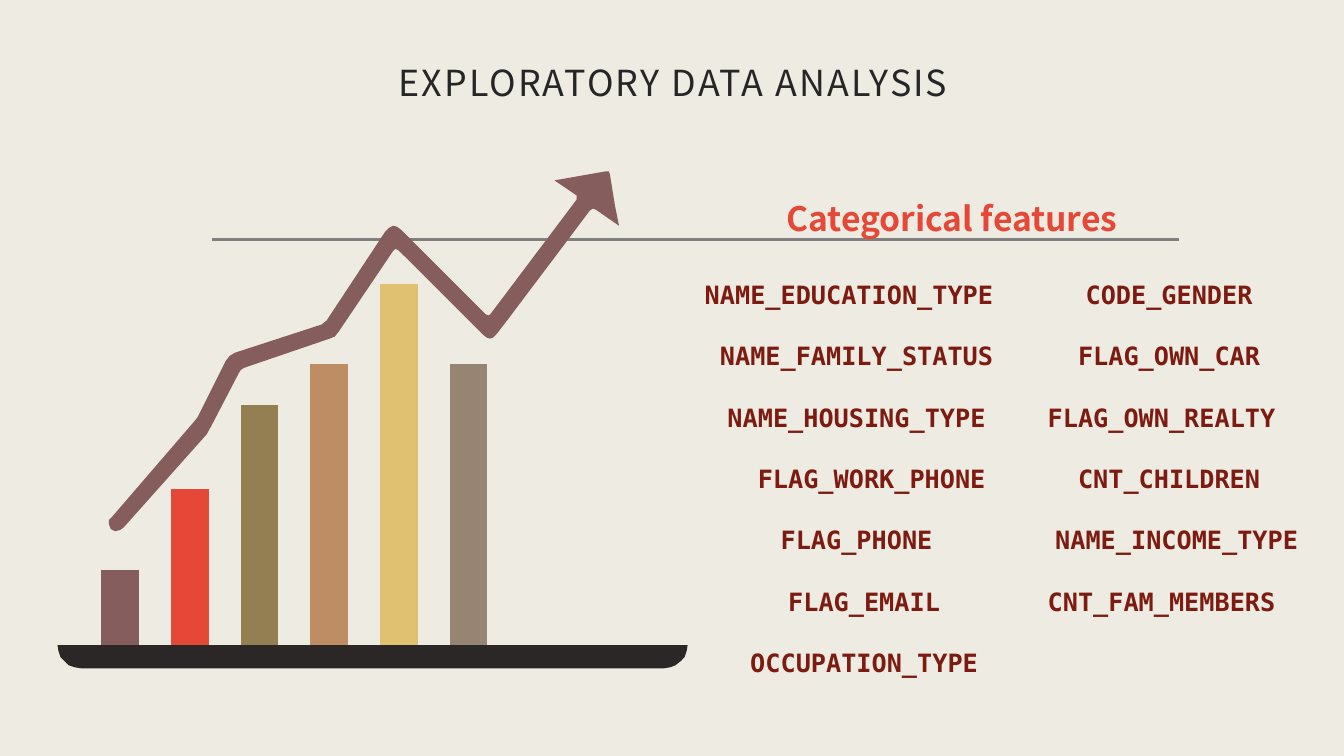
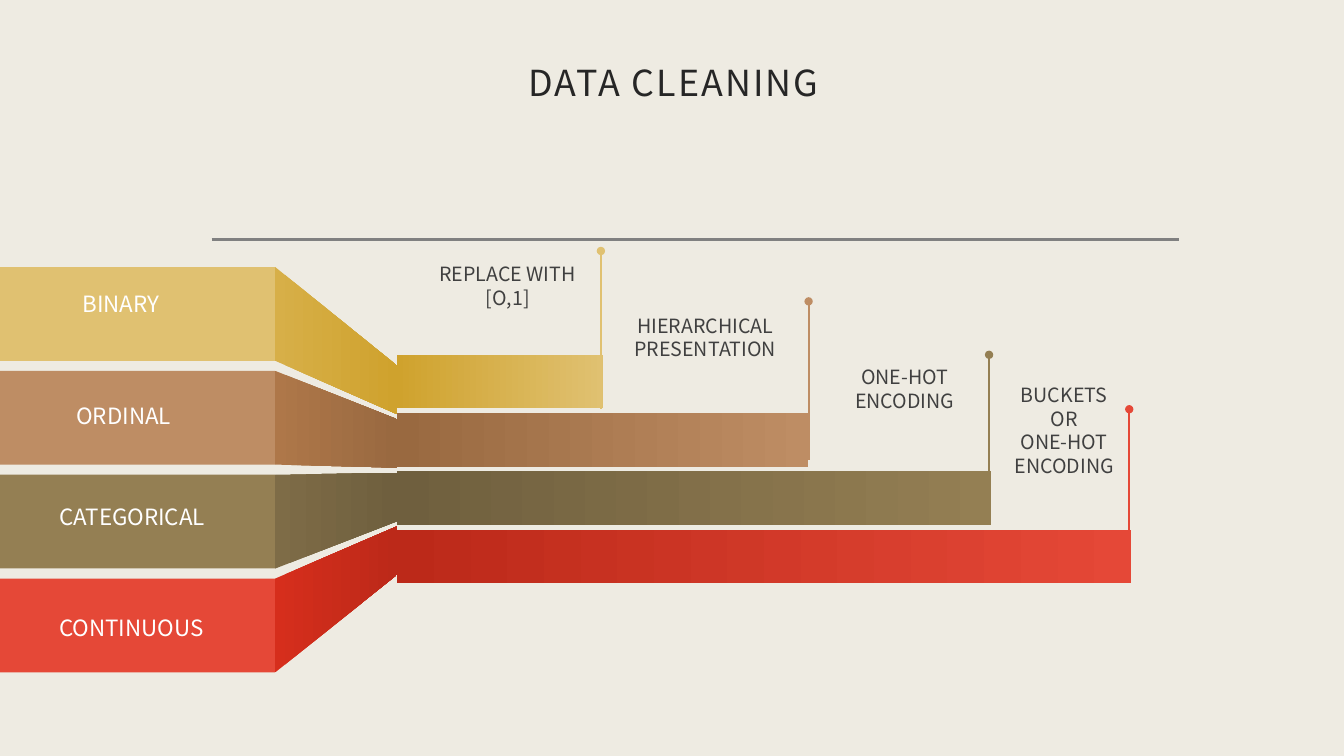
import math

from lxml import etree
from pptx import Presentation
from pptx.chart.data import CategoryChartData
from pptx.dml.color import RGBColor
from pptx.enum.chart import XL_CHART_TYPE
from pptx.enum.shapes import MSO_CONNECTOR, MSO_SHAPE
from pptx.enum.text import MSO_ANCHOR, MSO_AUTO_SIZE, PP_ALIGN
from pptx.oxml import parse_xml
from pptx.oxml.ns import nsdecls, qn
from pptx.util import Pt

PX = 9144
SANS, MONO = "Noto Sans CJK JP", "DejaVu Sans Mono"
LEFT, CENTER = PP_ALIGN.LEFT, PP_ALIGN.CENTER
TOP, MIDDLE = MSO_ANCHOR.TOP, MSO_ANCHOR.MIDDLE
NO_AUTOFIT = MSO_AUTO_SIZE.NONE
STRAIGHT, RECTANGLE = MSO_CONNECTOR.STRAIGHT, MSO_SHAPE.RECTANGLE
COLUMN, BAR = XL_CHART_TYPE.COLUMN_STACKED, XL_CHART_TYPE.BAR_STACKED

PAPER = RGBColor(0xEE, 0xEB, 0xE2)
GRAY = RGBColor(0x80, 0x80, 0x80)
INK = RGBColor(0x26, 0x26, 0x26)
NOTE = RGBColor(0x40, 0x40, 0x40)
WHITE = RGBColor(0xFF, 0xFF, 0xFF)
BLACK = RGBColor(0x00, 0x00, 0x00)
TRAY = RGBColor(0x2B, 0x27, 0x27)
MAROON = RGBColor(0x7E, 0x1B, 0x10)
PLUM = RGBColor(0x85, 0x5D, 0x5D)
STONE = RGBColor(0x96, 0x85, 0x72)
RED = RGBColor(0xE5, 0x48, 0x37)
RED_MID = RGBColor(0xD6, 0x2E, 0x1C)
RED_DARK = RGBColor(0xBC, 0x29, 0x19)
OLIVE = RGBColor(0x94, 0x7F, 0x53)
OLIVE_MID = RGBColor(0x7E, 0x6C, 0x47)
OLIVE_DARK = RGBColor(0x6F, 0x5F, 0x3E)
TAN = RGBColor(0xBE, 0x8D, 0x64)
TAN_MID = RGBColor(0xAE, 0x77, 0x49)
TAN_DARK = RGBColor(0x99, 0x69, 0x40)
GOLD = RGBColor(0xE0, 0xC1, 0x71)
GOLD_MID = RGBColor(0xD7, 0xAF, 0x48)
GOLD_DARK = RGBColor(0xCF, 0xA2, 0x2D)


def px(*values):
    return [round(v * PX) for v in values]


def put(sp, text, size, color, font=SANS, bold=False, align=LEFT, anchor=TOP,
        margins=(10, 5, 10, 5), line=None, before=0, after=0, spc=0, indents=None):
    tf = sp.text_frame
    tf.word_wrap = True
    tf.auto_size = NO_AUTOFIT
    tf.vertical_anchor = anchor
    tf.margin_left, tf.margin_top, tf.margin_right, tf.margin_bottom = px(*margins)
    for i, words in enumerate(text.split("\n")):
        p = tf.add_paragraph() if i else tf.paragraphs[0]
        p.alignment = align
        p.line_spacing = line
        p.space_before, p.space_after = Pt(before), Pt(after)
        if indents:
            p._p.get_or_add_pPr().set("marL", str(indents[i] * 15 * PX))
        r = p.add_run()
        r.text = words
        r.font.name, r.font.size, r.font.bold = font, Pt(size), bold
        r.font.color.rgb = color
        if spc:
            r.font._element.set("spc", str(spc))


prs = Presentation()
prs.slide_width, prs.slide_height = px(1333, 750)
fill = prs.slide_master.background.fill
fill.solid()
fill.fore_color.rgb = PAPER
layout = prs.slide_layouts[5]
title = layout.placeholders[0]
title.left, title.top, title.width, title.height = px(35, 37, 1266, 79)

charts = []
for heading, kind, box, values, maximum, gap, y, h in (
    ("EXPLORATORY DATA ANALYSIS", COLUMN, (76, 219, 432, 445),
     (22, 44, 67, 78, 100, 78), 111, 84, 0.05, 0.91),
    ("DATA CLEANING", BAR, (377, 345, 849, 241),
     (100, 81, 56, 28), 112, 9, 0.02, 0.96),
):
    s = prs.slides.add_slide(layout)
    put(s.shapes.title, heading, 25.6, INK, align=CENTER, anchor=MIDDLE,
        margins=(12, 12, 12, 10), line=1.2, before=9.3, spc=150)
    data = CategoryChartData()
    data.categories = [str(n + 1) for n in range(len(values))]
    data.add_series("Series 1", values)
    chart = s.shapes.add_chart(kind, *px(*box), data).chart
    chart.has_legend = chart.has_title = False
    chart.font.name, chart.font.size = SANS, Pt(10)
    chart.font.color.rgb = BLACK
    chart.category_axis.visible = chart.value_axis.visible = False
    chart.value_axis.has_major_gridlines = False
    chart.value_axis.minimum_scale, chart.value_axis.maximum_scale = 0, maximum
    plot = chart.plots[0]
    plot.gap_width, plot.overlap, plot.vary_by_categories = gap, 100, False
    area = chart._chartSpace.chart.plotArea
    for old in area.findall(qn("c:layout")):
        area.remove(old)
    area.insert(0, parse_xml(
        f'<c:layout {nsdecls("c")}><c:manualLayout><c:layoutTarget val="inner"/>'
        '<c:xMode val="edge"/><c:yMode val="edge"/>'
        f'<c:x val="0.02"/><c:y val="{y}"/><c:w val="0.96"/><c:h val="{h}"/>'
        '</c:manualLayout></c:layout>'))
    charts.append(plot.series[0])

s = prs.slides[0]
rule = s.shapes.add_connector(STRAIGHT, *px(210, 238, 1169, 238))
rule.line.color.rgb, rule.line.width = GRAY, Pt(2)
layout.shapes._spTree.append(rule._element)
lines = [rule]

for i, color in enumerate((PLUM, RED, OLIVE, TAN, GOLD, STONE)):
    fill = charts[0].points[i].format.fill
    fill.solid()
    fill.fore_color.rgb = color

tray = [(57, 640), (682, 640)]
for x, start in ((659, 0), (80, 90)):
    for step in range(0, 91, 15):
        a = math.radians(start + step)
        tray.append((x + 23 * math.cos(a), 640 + 23 * math.sin(a)))
arrow = [
    (503, 318), (493, 331), (489, 335), (486, 336), (483, 335), (479, 332),
    (395, 248), (392, 247), (390, 249), (336, 329), (332, 334), (327, 336),
    (242, 365), (239, 367), (237, 370), (210, 422), (205, 431), (123, 523),
    (119, 526), (114, 527), (110, 525), (108, 520), (108, 516), (111, 513),
    (192, 419), (196, 414), (224, 358), (228, 353), (233, 350), (319, 322),
    (324, 318), (382, 230), (386, 226), (390, 224), (394, 225), (399, 229),
    (482, 312), (485, 313), (487, 311), (572, 198), (572, 194), (550, 179),
    (601, 170), (604, 170), (605, 173), (610, 204), (614, 224), (591, 208),
    (588, 207), (585, 209), (564, 237),
]
for points, color in ((tray, TRAY), (arrow, PLUM)):
    builder = s.shapes.build_freeform(*points[0], scale=PX)
    builder.add_line_segments(points[1:], close=True)
    sp = builder.convert_to_shape()
    sp.shadow.inherit = False
    sp.fill.solid()
    sp.fill.fore_color.rgb = color
    sp.line.fill.background()

put(s.shapes.add_textbox(*px(770, 171, 528, 90)), "Categorical features", 24, RED,
    bold=True, anchor=MIDDLE, line=Pt(30))
for x, names, indents in (
    (682, "NAME_EDUCATION_TYPE\nNAME_FAMILY_STATUS\nNAME_HOUSING_TYPE\n"
          "FLAG_WORK_PHONE\nFLAG_PHONE\nFLAG_EMAIL\nOCCUPATION_TYPE",
     (0, 1, 1, 3, 1, 2, 2)),
    (992, "CODE_GENDER\nFLAG_OWN_CAR\nFLAG_OWN_REALTY\n"
          "CNT_CHILDREN\nNAME_INCOME_TYPE\nCNT_FAM_MEMBERS",
     (1, 1, 0, 1, 2, 0)),
):
    put(s.shapes.add_textbox(*px(x, 272, 320, 404)), names, 18, MAROON, font=MONO,
        bold=True, align=CENTER, after=22.25, indents=indents)

s = prs.slides[1]
rows = (
    ("BINARY", (72, 288), GOLD, GOLD_MID, GOLD_DARK, (596, 249),
     "REPLACE WITH [O,1]", (420, 260, 167, 47)),
    ("ORDINAL", (66, 399), TAN, TAN_MID, TAN_DARK, (802, 299),
     "HIERARCHICAL PRESENTATION", (616, 311, 167, 47)),
    ("CATEGORICAL", (49, 499), OLIVE, OLIVE_MID, OLIVE_DARK, (981, 352),
     "ONE-HOT ENCODING", (814, 362, 167, 47)),
    ("CONTINUOUS", (49, 610), RED, RED_MID, RED_DARK, (1120, 406),
     "BUCKETS\nOR\nONE-HOT ENCODING", (982, 380, 147, 94)),
)
for i, (label, corner, color, mid, dark, (x, y), note, note_box) in enumerate(rows):
    top, neck = 265 + 103 * i, 363 + 53 * i
    band = s.shapes.add_shape(RECTANGLE, *px(0, top, 273, 93))
    band.fill.solid()
    band.fill.fore_color.rgb = color
    builder = s.shapes.build_freeform(273, top, scale=PX)
    builder.add_line_segments([(394, neck), (394, neck + 48), (273, top + 93)], close=True)
    wedge = builder.convert_to_shape()
    for sp in (band, wedge):
        sp.shadow.inherit = False
        sp.line.fill.background()
    bar = charts[1].points[3 - i].format
    for fill, start, end in ((wedge.fill, mid, dark), (bar.fill, dark, color)):
        fill.gradient()
        fill.gradient_angle = 0
        fill.gradient_stops[0].color.rgb = start
        fill.gradient_stops[1].color.rgb = end
    pole = s.shapes.add_connector(STRAIGHT, *px(x, y, x, y + 157))
    pole.line.color.rgb, pole.line.width = color, Pt(1.5)
    etree.SubElement(pole.line._get_or_add_ln(), qn("a:headEnd"), type="oval")
    lines.append(pole)
    put(s.shapes.add_textbox(*px(*corner, 182, 33)), label, 16, WHITE, line=0.8)
    put(s.shapes.add_textbox(*px(*note_box)), note, 14, NOTE, align=CENTER,
        margins=(0, 0, 0, 0))

for line in lines:
    etree.SubElement(line._element.spPr, qn("a:effectLst"))

prs.save("out.pptx")
